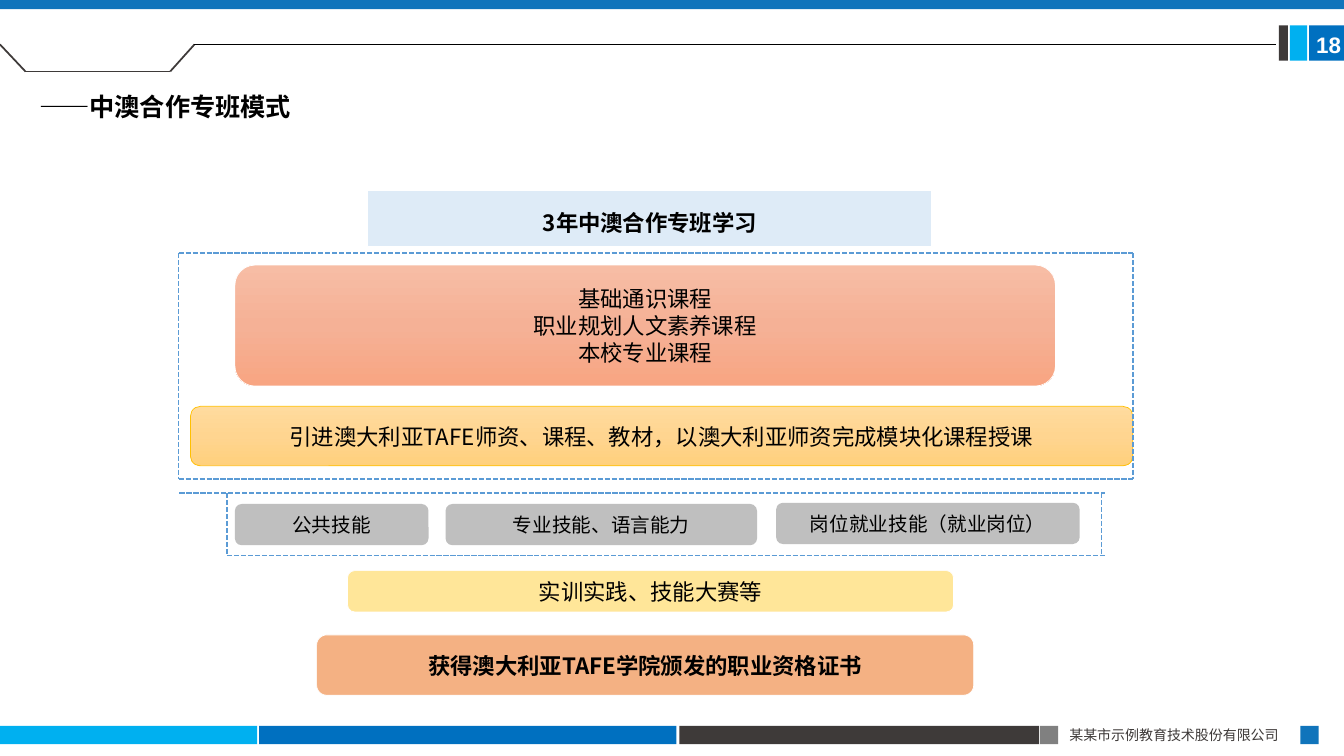
import copy

import lxml.etree
import pptx
import pptx.dml.color
import pptx.enum.dml
import pptx.enum.shapes
import pptx.enum.text
import pptx.oxml.ns
import pptx.util

Cm, Pt, qn = pptx.util.Cm, pptx.util.Pt, pptx.oxml.ns.qn
ALIGN = pptx.enum.text.PP_ALIGN
ANCHOR = pptx.enum.text.MSO_ANCHOR
RECT = pptx.enum.shapes.MSO_SHAPE.RECTANGLE
ROUNDED = pptx.enum.shapes.MSO_SHAPE.ROUNDED_RECTANGLE
STRAIGHT = pptx.enum.shapes.MSO_CONNECTOR.STRAIGHT
DASH = pptx.enum.dml.MSO_LINE.SQUARE_DOT
CJK = "Noto Sans CJK SC"
rgb = pptx.dml.color.RGBColor.from_string


def write(box, text, size, color="000000", bold=False, align=ALIGN.CENTER, spacing=1.0, face=CJK):
    """Put one paragraph per line of text into the box."""
    frame = box.text_frame
    for number, line in enumerate(text.split("\n")):
        para = frame.add_paragraph() if number else frame.paragraphs[0]
        para.alignment, para.line_spacing = align, spacing
        span = para.add_run()
        span.text = line
        for name, value in {"size": Pt(size), "bold": bold, "name": face}.items():
            setattr(span.font, name, value)
        span.font.color.rgb = rgb(color)
        lxml.etree.SubElement(span.font._element, qn("a:ea"), typeface=face)


def add_block(kind, left, top, width, height, colors, edge=None, edge_width=0.5):
    """Add a shape; several colours make an even downward gradient."""
    block = page.shapes.add_shape(kind, Cm(left), Cm(top), Cm(width), Cm(height))
    block.shadow.inherit = False
    if len(colors) == 1:
        block.fill.solid()
        block.fill.fore_color.rgb = rgb(colors[0])
    else:
        block.fill.gradient()
        block.fill.gradient_angle = 270
        stop_list = block._element.spPr.find(".//" + qn("a:gsLst"))
        stop_list.insert(1, copy.deepcopy(stop_list[0]))
        for number, (stop, color) in enumerate(zip(block.fill.gradient_stops, colors)):
            stop.position = number / (len(colors) - 1)
            stop.color.rgb = rgb(color)
    if edge:
        block.line.color.rgb = rgb(edge)
        block.line.width = Pt(edge_width)
    else:
        block.line.fill.background()
    block.text_frame.word_wrap = True
    block.text_frame.vertical_anchor = ANCHOR.MIDDLE
    return block


deck = pptx.Presentation()
deck.slide_width, deck.slide_height = Cm(33.87), Cm(19.05)
page = deck.slides.add_slide(deck.slide_layouts[6])

# Footer bars, page tab and top bar
for left, top, width, height, color in [
    (0, 18.29, 6.48, 0.46, "00B0F0"),
    (6.53, 18.29, 10.52, 0.46, "0070C0"),
    (17.12, 18.29, 9.07, 0.46, "3E3A39"),
    (26.21, 18.29, 0.46, 0.46, "808080"),
    (32.77, 18.29, 0.46, 0.46, "1074BB"),
    (32.99, 0.64, 0.88, 0.89, "0070C0"),
    (32.51, 0.64, 0.43, 0.89, "00B0F0"),
    (32.23, 0.64, 0.23, 0.89, "3E3A39"),
    (0, 0, 33.87, 0.23, "1074BB"),
]:
    add_block(RECT, left, top, width, height, [color])

# Course blocks, from the top of the programme to the certificate
PEACH = ["F7BDA5", "F5B196", "F8A582"]
AMBER = ["FFDB9E", "FFD590", "FFD07C"]
heading = add_block(RECT, 9.27, 4.8, 14.22, 1.42, ["DEEBF7"], "FFFFFF", 1)
write(heading, "3年中澳合作专班学习", 16, bold=True, spacing=1.3)
for left, top, width, height, colors, edge, size, bold, text in [
    (5.92, 6.68, 20.68, 3.05, PEACH, "FFFFFF", 16, False,
     "基础通识课程\n职业规划人文素养课程\n本校专业课程"),
    (4.8, 10.24, 23.75, 1.5, AMBER, "FFC000", 16, False,
     "引进澳大利亚TAFE师资、课程、教材，以澳大利亚师资完成模块化课程授课"),
    (5.92, 12.7, 4.88, 1.04, ["BFBFBF"], None, 14, False, "公共技能"),
    (11.23, 12.7, 7.85, 1.04, ["BFBFBF"], None, 14, False, "专业技能、语言能力"),
    (19.56, 12.67, 7.65, 1.04, ["BFBFBF"], None, 14, False, "岗位就业技能（就业岗位）"),
    (8.76, 14.38, 15.27, 1.04, ["FFE699"], "FFFFFF", 16, False, "实训实践、技能大赛等"),
    (7.98, 16, 16.56, 1.52, ["F4B183"], "FFFFFF", 16, True,
     "获得澳大利亚TAFE学院颁发的职业资格证书"),
]:
    write(add_block(ROUNDED, left, top, width, height, colors, edge), text, size, bold=bold)

# Header rule with its notch, then the dashed frames
NOTCH, RULE, FRAME = ("3E3A39", 1.25, None), ("000000", 0.5, None), ("5B9BD5", 1.25, DASH)
for (color, weight, dash), x1, y1, x2, y2 in [
    (NOTCH, 0, 1.12, 0.64, 1.8),
    (NOTCH, 0.64, 1.8, 4.29, 1.8),
    (NOTCH, 4.29, 1.8, 4.9, 1.12),
    (RULE, 4.9, 1.12, 32.16, 1.12),
    (FRAME, 4.5, 6.38, 28.55, 6.38),
    (FRAME, 4.5, 6.38, 4.5, 12.07),
    (FRAME, 28.55, 6.38, 28.55, 12.07),
    (FRAME, 4.5, 12.07, 28.55, 12.07),
    (FRAME, 4.52, 12.42, 27.84, 12.42),
    (FRAME, 5.72, 12.42, 5.72, 14),
    (FRAME, 27.76, 12.42, 27.76, 14),
    (FRAME, 5.72, 14, 27.84, 14),
]:
    rule = page.shapes.add_connector(STRAIGHT, Cm(x1), Cm(y1), Cm(x2), Cm(y2))
    rule.line.color.rgb = rgb(color)
    rule.line.width = Pt(weight)
    if dash:
        rule.line.dash_style = dash
    lxml.etree.SubElement(rule._element.spPr, qn("a:effectLst"))

# Title, page number and company line
for left, top, width, height, wrap, text, style in [
    (0.64, 2.08, 7.04, 1.07, False, "——中澳合作专班模式",
     {"size": 18, "bold": True, "spacing": 1.14}),
    (32.92, 0.66, 1.27, 0.94, True, "18",
     {"size": 16, "color": "FFFFFF", "bold": True, "align": ALIGN.LEFT, "face": "Arial"}),
    (26.7, 18.19, 6.1, 0.69, True, "某某市示例教育技术股份有限公司",
     {"size": 10, "color": "3E3A39", "align": ALIGN.JUSTIFY}),
]:
    box = page.shapes.add_textbox(Cm(left), Cm(top), Cm(width), Cm(height))
    box.text_frame.word_wrap = wrap
    box.text_frame.auto_size = pptx.enum.text.MSO_AUTO_SIZE.SHAPE_TO_FIT_TEXT
    write(box, text, **style)

deck.save("out.pptx")
